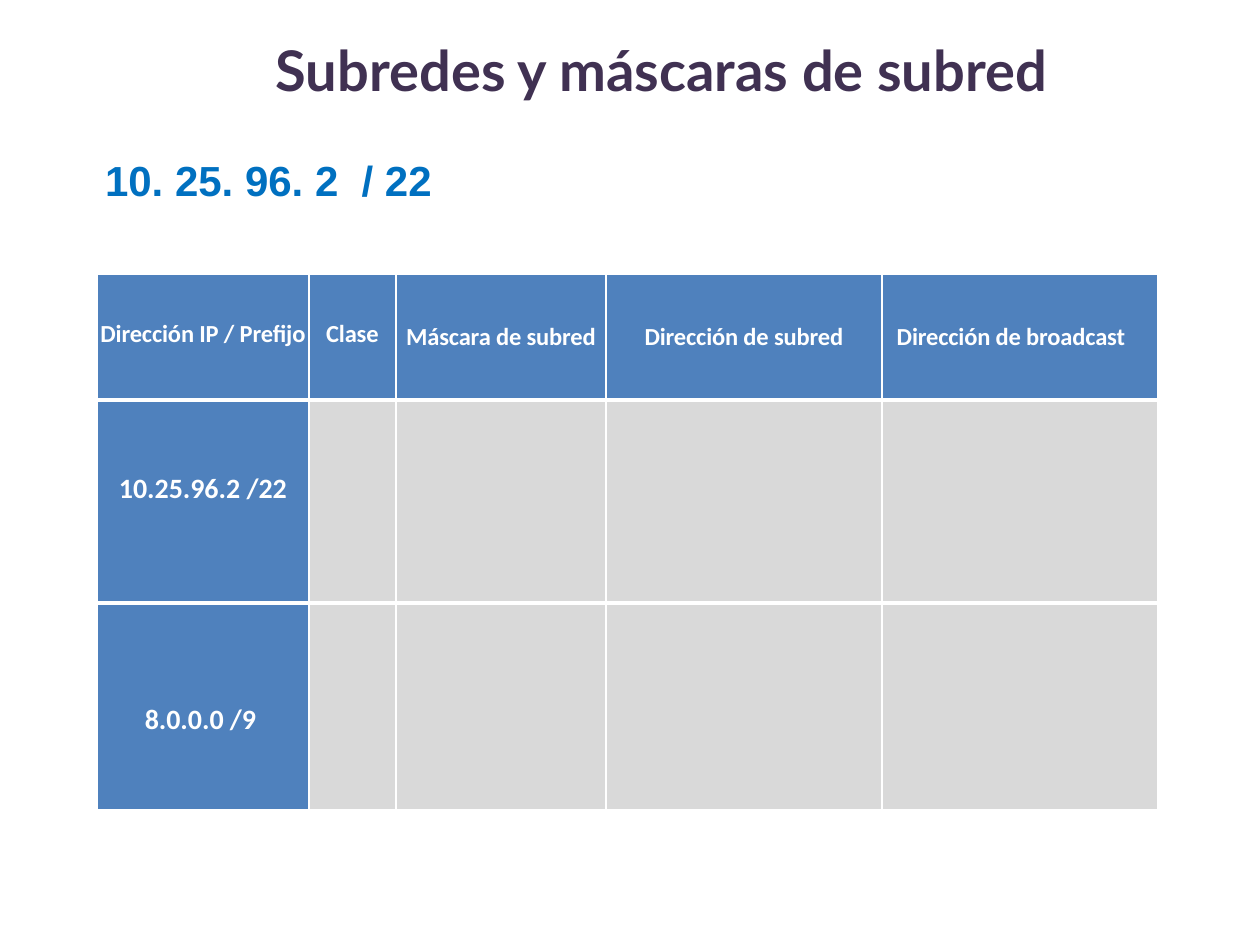
from lxml.etree import SubElement
from pptx import Presentation
from pptx.dml.color import RGBColor
from pptx.enum.text import MSO_ANCHOR, PP_ALIGN
from pptx.oxml.ns import qn
from pptx.util import Pt

EMU_PER_PX = 914400 / 126
COLORS = {"title": "403152", "address": "0070C0", "head": "4F81BD",
          "body": "D9D9D9", "white": "FFFFFF"}
COLUMN_WIDTHS = [212, 87, 210, 276, 276]
ROW_HEIGHTS = [126, 203, 207]
HEADERS = ["Dirección IP / Prefijo", "Clase", "Máscara de subred",
           "Dirección de subred", "Dirección de broadcast"]
ADDRESSES = ["10.25.96.2 /22", "8.0.0.0 /9"]
THIN, THICK = 1, 3


def px(value):
    return round(value * EMU_PER_PX)


def color(name):
    return RGBColor.from_string(COLORS[name])


def set_margins(target, left=0, top=0, right=0, bottom=0):
    margins = {"left": left, "top": top, "right": right, "bottom": bottom}
    for side, value in margins.items():
        setattr(target, f"margin_{side}", px(value))


def write(frame, text, font, size, ink, align=PP_ALIGN.CENTER, spacing=0):
    """Fill the first paragraph; spacing is in hundredths of a point."""
    para = frame.paragraphs[0]
    para.alignment = align
    span = para.add_run()
    span.text = text
    for name, value in {"name": font, "size": Pt(size), "bold": True}.items():
        setattr(span.font, name, value)
    span.font.color.rgb = color(ink)
    if spacing:
        span.font._element.set("spc", str(spacing))
    return para


def add_text(page, place, text, font, size, ink, align, anchor, **margins):
    box = page.shapes.add_textbox(*map(px, place))
    frame = box.text_frame
    frame.word_wrap = True
    frame.vertical_anchor = anchor
    set_margins(frame, **margins)
    write(frame, text, font, size, ink, align)


def set_borders(cell, top, bottom):
    properties = cell._tc.get_or_add_tcPr()
    widths = {"lnL": THIN, "lnR": THIN, "lnT": top, "lnB": bottom}
    for position, (tag, width) in enumerate(widths.items()):
        line = SubElement(properties, qn(f"a:{tag}"), w=str(Pt(width)))
        fill = SubElement(line, qn("a:solidFill"))
        SubElement(fill, qn("a:srgbClr"), val=COLORS["white"])
        properties.insert(position, line)


def style_cell(cell, row, column):
    cell.fill.solid()
    cell.fill.fore_color.rgb = color("body" if row and column else "head")
    cell.vertical_anchor = MSO_ANCHOR.MIDDLE
    set_margins(cell)
    last = len(ROW_HEIGHTS) - 1
    set_borders(cell, THICK if row else THIN, THICK if row < last else THIN)


def add_subnet_table(page, left, top):
    frame = page.shapes.add_table(
        len(ROW_HEIGHTS), len(COLUMN_WIDTHS), px(left), px(top),
        px(sum(COLUMN_WIDTHS)), px(sum(ROW_HEIGHTS)))
    table = frame.table
    for column, width in zip(table.columns, COLUMN_WIDTHS):
        column.width = px(width)
    for row, height in zip(table.rows, ROW_HEIGHTS):
        row.height = px(height)
    for row in range(len(ROW_HEIGHTS)):
        for column in range(len(COLUMN_WIDTHS)):
            style_cell(table.cell(row, column), row, column)

    for column, text in enumerate(HEADERS):
        para = write(table.cell(0, column).text_frame, text, "Calibri", 14,
                     "white", spacing=-10)
        if column < 2:
            para.line_spacing = Pt(13.3)
    set_margins(table.cell(0, 4), right=18)

    for row, text in enumerate(ADDRESSES, start=1):
        write(table.cell(row, 0).text_frame, text, "Calibri", 16, "white")
    set_margins(table.cell(1, 0), bottom=26)
    set_margins(table.cell(2, 0), top=26, right=5)


def main():
    deck = Presentation()
    deck.slide_width, deck.slide_height = px(1260), px(945)
    page = deck.slides.add_slide(deck.slide_layouts[6])
    add_text(page, (25, 9, 1134, 94), "Subredes y máscaras de subred", "Lato",
             32, "title", PP_ALIGN.CENTER, MSO_ANCHOR.MIDDLE, left=140, top=26)
    add_text(page, (105, 155, 1054, 50), "10. 25. 96. 2  / 22", "Arial",
             24, "address", PP_ALIGN.LEFT, MSO_ANCHOR.TOP)
    add_subnet_table(page, 97, 274)
    deck.save("out.pptx")


if __name__ == "__main__":
    main()
